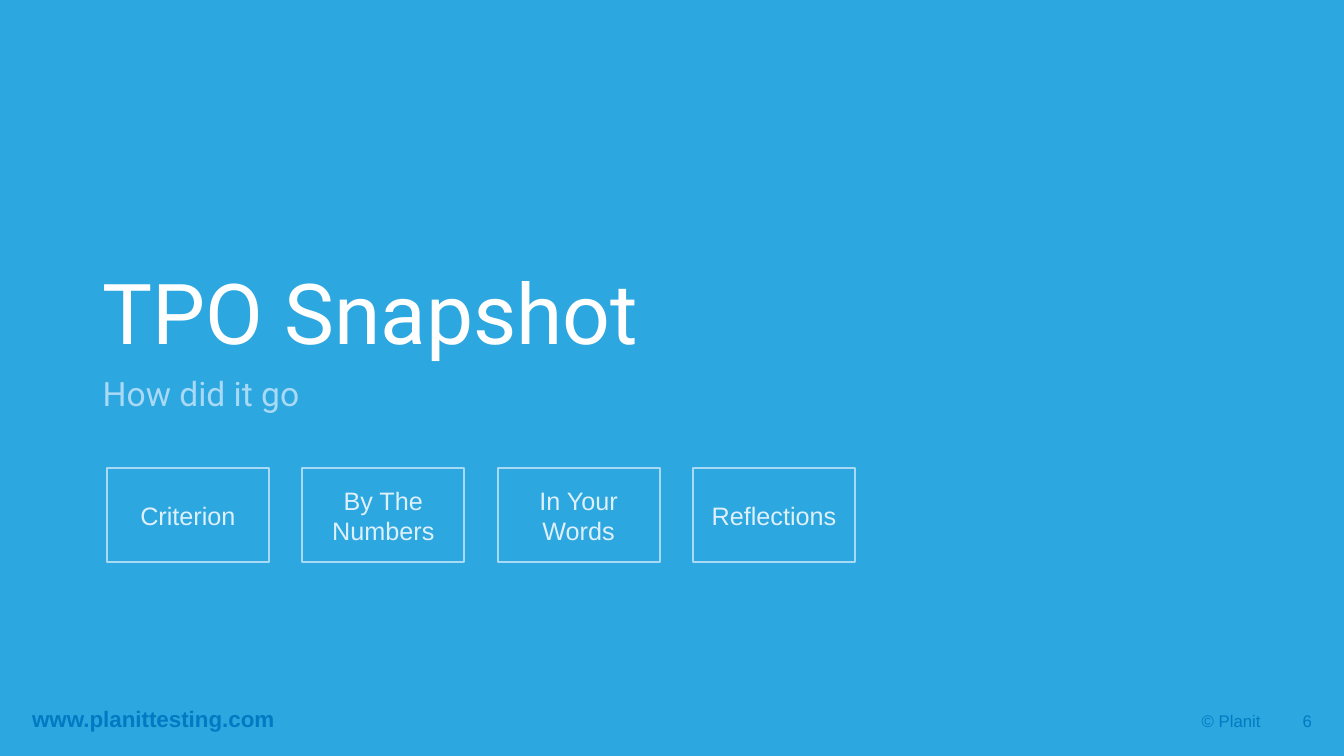
import pptx
import pptx.util
import pptx.dml.color
import pptx.enum.shapes
import pptx.enum.text

Inches = pptx.util.Inches
ALIGN = pptx.enum.text.PP_ALIGN
ANCHOR = pptx.enum.text.MSO_ANCHOR
WIDTH, HEIGHT = 13.33, 7.5
COLORS = {
    "background": "2DA7DF",
    "title": "FFFFFF",
    "accent": "A8D9F5",
    "topic": "DDF0FB",
    "footer": "007AC2",
}
TOPICS = ["Criterion", "By The Numbers", "In Your Words", "Reflections"]


def rgb(name):
    return pptx.dml.color.RGBColor.from_string(COLORS[name])


def write(sp, text, size, color, font="Arial", bold=False,
          align=ALIGN.LEFT, anchor=ANCHOR.TOP):
    tf = sp.text_frame
    tf.word_wrap = True
    tf.vertical_anchor = anchor
    p = tf.paragraphs[0]
    p.text = text
    p.alignment = align
    p.font.name = font
    p.font.size = pptx.util.Pt(size)
    p.font.bold = bold
    p.font.color.rgb = rgb(color)
    return p


def add_text(s, box, text, size, color, **style):
    sp = s.shapes.add_textbox(*map(Inches, box))
    return write(sp, text, size, color, **style)


def add_heading(s, box, title, subtitle):
    left, top, width, height = box
    title_height = 0.38 * height
    p = add_text(s, (left, top, width, title_height), title, 60, "title",
                 font="Roboto", anchor=ANCHOR.BOTTOM)
    p.line_spacing = 0.9
    add_text(s, (left, top + title_height, width, height - title_height),
             subtitle, 24, "accent", font="Roboto", align=ALIGN.JUSTIFY)


def add_topics(s, box, topics, gap):
    left, top, width, height = box
    card = (width - gap * (len(topics) - 1)) / len(topics)
    for i, topic in enumerate(topics):
        sp = s.shapes.add_shape(
            pptx.enum.shapes.MSO_SHAPE.RECTANGLE,
            *map(Inches, (left + i * (card + gap), top, card, height)))
        sp.shadow.inherit = False
        sp.fill.background()
        sp.line.color.rgb = rgb("accent")
        sp.line.width = pptx.util.Pt(1.5)
        write(sp, topic, 18, "topic", align=ALIGN.CENTER,
              anchor=ANCHOR.MIDDLE)


def add_footer(s, box, site, owner, number):
    left, top, width, height = box
    right = left + width
    add_text(s, (left, top, width / 2, height), site, 16, "footer", bold=True)
    add_text(s, (right - 1.29, top, 1.2, height), owner, 12, "footer",
             anchor=ANCHOR.MIDDLE)
    add_text(s, (right - 0.49, top, 0.49, height), number, 12, "footer",
             align=ALIGN.RIGHT, anchor=ANCHOR.MIDDLE)


def build_section_slide(prs):
    s = prs.slides.add_slide(prs.slide_layouts[6])
    s.background.fill.solid()
    s.background.fill.fore_color.rgb = rgb("background")
    add_heading(s, (0.92, 2.64, 11.5, 2.65), "TPO Snapshot", "How did it go")
    add_topics(s, (1.06, 4.64, 7.42, 0.94), TOPICS, 0.33)
    add_footer(s, (0.22, 6.95, WIDTH - 0.44, 0.4),
               "www.planittesting.com", "© Planit", "6")


def main():
    prs = pptx.Presentation()
    prs.slide_width = Inches(WIDTH)
    prs.slide_height = Inches(HEIGHT)
    build_section_slide(prs)
    prs.save("out.pptx")


if __name__ == "__main__":
    main()
